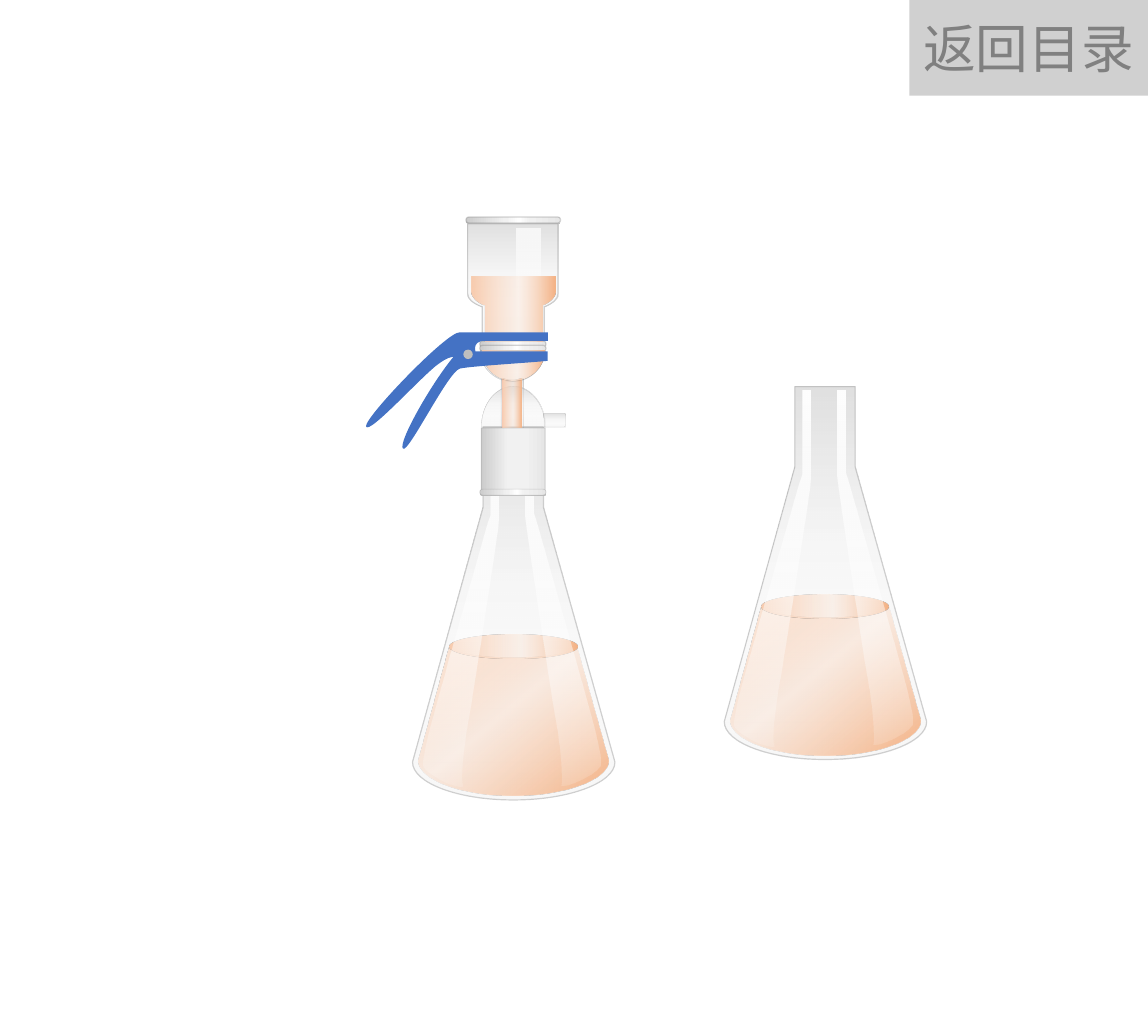
from lxml import etree
from pptx import Presentation, util as u
from pptx.dml.color import RGBColor
from pptx.enum import shapes as s, text as t
from pptx.oxml.ns import qn

PX = 9144
WIDTH, HEIGHT = 1333, 1181

GLASS = (90, [(0, "CCCCCC", 60), (42, "F1F1F1", 58), (68, "F1F1F1", 33), (100, "E6E6E6", 27)])
LIQUID = (0, [(0, "F8CBAD", 100), (56, "FBE5D6", 43), (100, "F4B183", 100)])
POOL = (50, [(0, "FBE5D6", 100), (45, "F8CBAD", 32), (100, "F4B183", 100)])
GLARE = (90, [(0, "FFFFFF", 100), (100, "FFFFFF", 16)])
GLINT = (90, [(0, "FFFFFF", 73), (100, "FFFFFF", 16)])
FROSTED = (0, [(0, "CCCCCC", 100), (42, "F1F1F1", 100), (68, "F1F1F1", 100), (100, "E6E6E6", 100)])
RIM = (0, [(0, "CCCCCC", 100), (42, "F1F1F1", 100), (56, "FFFFFF", 100),
           (68, "F1F1F1", 100), (100, "E6E6E6", 100)])
RIM_SHADE = (0, [(0, "BFBFBF", 100), (42, "CDCDCD", 100), (68, "CDCDCD", 100), (100, "BFBFBF", 100)])
BLUE, GREY = "4472C4", "BFBFBF"
EDGE, EDGE_ALPHA = "818181", 35


def rim(left, top, width, edge=1):
    return [("roundRect", (left, top + 2, width, 6), RIM_SHADE, None),
            ("roundRect", (left, top, width, 7), RIM, edge)]


FLASK = [
    ("path", "M 561 496 L 631 496 L 631 589 L 714 885 C 714 909 661 929 596 929 "
             "C 531 929 479 909 479 885 L 561 589", GLASS, 1),
    ("path", "M 670 751 L 707 883 C 707 905 657 924 596 924 C 535 924 486 905 486 883 "
             "L 522 751 L 523 752 C 526 759 558 764 596 764 C 635 764 666 759 670 752", POOL, None),
    ("ellipse", (522, 737, 148, 28), LIQUID, None),
    ("path", "M 569 501 L 579 501 L 579 600 L 578 610 C 570 670 545 831 541 851 "
             "C 538 873 534 903 537 913 C 534 915 523 911 516 908 C 508 904 496 896 494 893 "
             "C 492 889 487 895 499 846 C 511 800 550 663 566 607 L 569 598", GLARE, None),
    ("path", "M 620 500 L 610 500 L 610 599 L 611 608 C 619 668 644 830 648 850 "
             "C 651 872 654 902 652 912 C 654 913 666 910 673 906 C 680 903 693 895 695 891 "
             "C 697 888 702 894 690 845 C 678 799 639 661 623 606 L 620 596", GLARE, None),
]
CUP = [
    *rim(541, 252, 110),
    ("path", "M 543 260 L 648 260 L 648 341 C 648 347 642 352 633 356 L 632 356 L 632 398 "
             "L 560 398 L 560 356 L 559 356 C 549 352 543 347 543 341", GLASS, 1),
    *rim(557, 396, 77),
    ("rect", (600, 266, 28, 126), GLINT, None),
]
FUNNEL = [
    ("path", "M 582 440 L 588 442 C 590 442 592 443 595 443 C 598 443 600 442 602 442 "
             "L 608 440 L 608 497 L 582 497", GLASS, 0.5),
    ("path", "M 558 407 L 632 407 L 632 408 C 632 427 615 443 595 443 "
             "C 575 443 558 427 558 408", GLASS, 0.5),
]
DOME = ("path", "M 559 496 L 633 496 C 633 470 616 449 596 449 C 575 449 559 470 559 496", GLASS, 0.25)
COLLAR = ("rect", (559, 497, 74, 73), FROSTED, 0)
SPOUT = ("path", "M 631 480 L 655 480 C 656 480 657 481 657 483 L 657 493 "
                 "C 657 494 656 496 655 496 L 632 496 L 632 495 C 632 492 632 489 632 486", GLASS, 0.25)
CUP_LIQUID = ("path", "M 547 321 L 645 321 L 645 338 C 645 344 640 350 631 354 L 630 354 L 630 396 "
                      "L 563 396 L 563 354 L 561 354 C 552 350 547 344 547 338", LIQUID, None)
FUNNEL_LIQUID = [
    ("path", "M 584 440 L 588 441 C 590 442 593 442 595 442 C 597 442 600 442 602 441 "
             "L 606 440 L 606 497 L 584 497", LIQUID, None),
    ("path", "M 560 407 L 632 407 C 632 427 615 442 596 442 C 576 442 560 427 560 407", LIQUID, None),
]
CLAMP = [
    ("path", "M 532 408 L 636 408 L 636 419 C 619 421 548 425 534 428 "
             "C 520 432 474 527 468 521 C 461 515 504 439 532 408", BLUE, None),
    ("path", "M 534 386 L 636 386 L 636 396 L 559 396 C 544 400 557 415 553 419 "
             "C 549 423 537 423 535 420 C 532 416 528 409 510 422 C 492 434 427 507 425 495 "
             "C 424 484 520 384 534 386", BLUE, None),
    ("ellipse", (538, 406, 11, 11), GREY, None),
]
APPARATUS = [
    (FLASK, 0, 0), (CUP, 0, 0), (rim(557, 401, 77), 0, 0), (FUNNEL, 0, 0),
    ([DOME], 0, 0), ([COLLAR], 0, 0), (rim(557, 568, 77, 0.5), 0, 0), ([SPOUT], 0, 0),
    ([CUP_LIQUID], 0, 0), (FUNNEL_LIQUID, 0, 0), (CLAMP, 0, 0), (FLASK, 362, -47),
]
BUTTON_BOX, BUTTON_LABEL = (1056, 0, 277, 111), "返回目录"
PRESETS = {"rect": s.MSO_SHAPE.RECTANGLE, "ellipse": s.MSO_SHAPE.OVAL,
           "roundRect": s.MSO_SHAPE.ROUNDED_RECTANGLE}


def color(value):
    return RGBColor.from_string(value)


def fade(solid, alpha):
    etree.SubElement(solid[0], qn("a:alpha"), val=str(alpha * 1000))


def paint(part, fill, edge=None):
    part.shadow.inherit = False
    if isinstance(fill, str):
        part.fill.solid()
        part.fill.fore_color.rgb = color(fill)
    else:
        angle, stops = fill
        part.fill.gradient()
        gradient = part._element.spPr.find(qn("a:gradFill"))
        ramp = gradient.find(qn("a:gsLst"))
        ramp.clear()
        for place, tint, alpha in stops:
            stop = etree.SubElement(ramp, qn("a:gs"), pos=str(place * 1000))
            etree.SubElement(stop, qn("a:srgbClr"), val=tint)
            fade(stop, alpha)
        gradient.find(qn("a:lin")).set("ang", str(angle * 60000))
    if edge is None:
        part.line.fill.background()
    else:
        part.line.color.rgb = color(EDGE)
        part.line.width = u.Pt(edge)
        fade(part._element.spPr.find(qn("a:ln")).find(qn("a:solidFill")), EDGE_ALPHA)


def outline(layer, route, dx, dy):
    points, curve_starts = [], []
    for step in route.replace("C", "|C").replace("L", "|L").split("|"):
        command, *values = step.split()
        if command == "C":
            curve_starts.append(len(points) - 1)
        points += [(int(x) + dx, int(y) + dy) for x, y in zip(values[::2], values[1::2])]
    builder = layer.build_freeform(*points[0], scale=PX)
    builder.add_line_segments(points[1:], close=True)
    shape = builder.convert_to_shape()
    segments = list(shape._element.iter(qn("a:lnTo")))
    for start in curve_starts:
        first, *others = segments[start:start + 3]
        curve = etree.Element(qn("a:cubicBezTo"))
        first.addprevious(curve)
        for segment in (first, *others):
            curve.append(segment[0])
            segment.getparent().remove(segment)
    return shape


def preset(layer, kind, box, dx=0, dy=0):
    left, top, width, height = box
    shape = layer.add_shape(PRESETS[kind], *(n * PX for n in (left + dx, top + dy, width, height)))
    if kind == "roundRect":
        shape.adjustments[0] = 0.5
    return shape


def write(shape, words, size, tint, font, align):
    shape.text_frame.vertical_anchor = t.MSO_ANCHOR.MIDDLE
    paragraph = shape.text_frame.paragraphs[0]
    paragraph.alignment = align
    run = paragraph.add_run()
    run.text = words
    run.font.size, run.font.name = u.Pt(size), font
    run.font.color.rgb = color(tint)


def main():
    deck = Presentation()
    deck.slide_width, deck.slide_height = WIDTH * PX, HEIGHT * PX
    slide = deck.slides.add_slide(deck.slide_layouts[6])
    for pieces, dx, dy in APPARATUS:
        layer = slide.shapes.add_group_shape().shapes if len(pieces) > 1 else slide.shapes
        for kind, geometry, fill, edge in pieces:
            if kind == "path":
                piece = outline(layer, geometry, dx, dy)
            else:
                piece = preset(layer, kind, geometry, dx, dy)
            paint(piece, fill, edge)
    button = preset(slide.shapes, "rect", BUTTON_BOX)
    paint(button, GREY)
    fade(button._element.spPr.find(qn("a:solidFill")), 73)
    write(button, BUTTON_LABEL, size=44, tint="808080", font="Calibri", align=t.PP_ALIGN.CENTER)
    deck.save("out.pptx")


if __name__ == "__main__":
    main()
